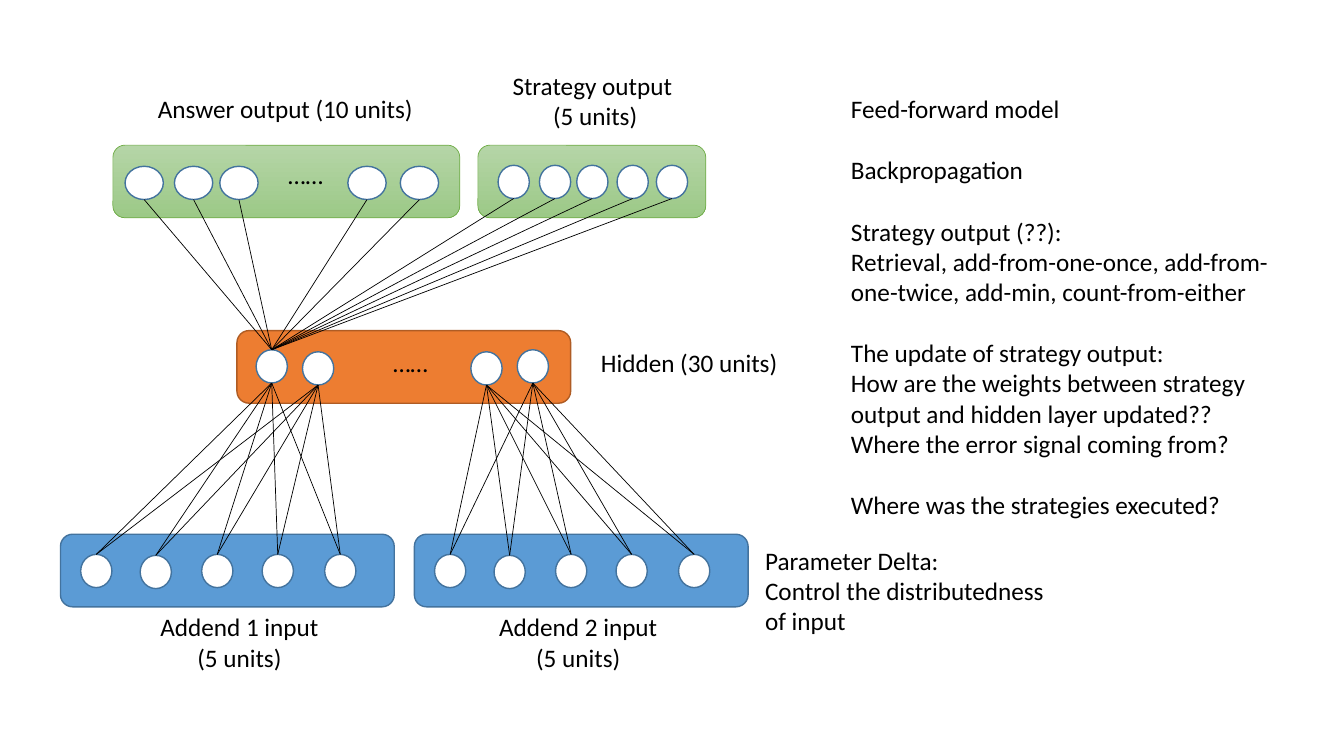
from dataclasses import dataclass
from itertools import product

from lxml import etree
from pptx import Presentation
from pptx.dml.color import RGBColor
from pptx.enum import shapes, text
from pptx.oxml.ns import qn
from pptx.util import Inches, Pt

BLACK = RGBColor(0x00, 0x00, 0x00)
WHITE = RGBColor(0xFF, 0xFF, 0xFF)
BLUE = RGBColor(0x5B, 0x9B, 0xD5)
DARK_BLUE = RGBColor(0x43, 0x73, 0x9E)
ORANGE = RGBColor(0xED, 0x7D, 0x31)
BROWN = RGBColor(0xAF, 0x5C, 0x24)
GREEN = RGBColor(0x70, 0xAD, 0x47)
LIGHT_GREEN = RGBColor(0xB5, 0xD5, 0xA7)
MID_GREEN = RGBColor(0x9C, 0xC9, 0x87)

FONT = "Calibri"
TEXT_SIZE = Pt(18)
BLANK_LINE = Pt(22)
PANEL_HEIGHT = 0.72
UNIT_HEIGHT = 0.33


@dataclass(frozen=True)
class Layer:
    left: float
    top: float
    width: float
    fills: tuple[RGBColor, ...]
    edge: RGBColor
    edge_width: float
    units: tuple[tuple[float, float], ...]
    unit_width: float = 0.31
    dots: tuple[float, float] | None = None

    def anchors(self, depth: float) -> list[tuple[float, float]]:
        return [(self.left + x + self.unit_width / 2, self.top + y + depth)
                for x, y in self.units]

    def unit_tops(self) -> list[tuple[float, float]]:
        return self.anchors(0)

    def unit_bottoms(self) -> list[tuple[float, float]]:
        return self.anchors(UNIT_HEIGHT)


@dataclass(frozen=True)
class Label:
    left: float
    top: float
    width: float
    height: float
    lines: tuple[str, ...]
    align: text.PP_ALIGN = text.PP_ALIGN.CENTER


ADDEND_UNITS = ((0.2, 0.2), (0.79, 0.21), (1.4, 0.2), (2.0, 0.2), (2.62, 0.2))

addend_1, addend_2 = (
    Layer(left, 5.3, 3.31, (BLUE,), DARK_BLUE, 1, ADDEND_UNITS)
    for left in (0.6, 4.11))
hidden = Layer(2.35, 3.28, 3.31, (ORANGE,), BROWN, 1,
               ((0.19, 0.19), (0.65, 0.21), (2.32, 0.21), (2.78, 0.19)),
               dots=(1.45, 0.12))
answer = Layer(1.12, 1.44, 3.44, (LIGHT_GREEN, MID_GREEN), GREEN, 0.5,
               tuple((x, 0.21) for x in (0.12, 0.61, 1.06, 2.33, 2.85)),
               unit_width=0.38, dots=(1.64, 0.09))
strategy = Layer(4.74, 1.44, 2.26, (LIGHT_GREEN, MID_GREEN), GREEN, 0.5,
                 tuple((x, 0.2) for x in (0.2, 0.61, 0.98, 1.38, 1.77)))

LABELS = (
    Label(1.38, 6.02, 1.99, 0.71, ("Addend 1 input", "(5 units)")),
    Label(4.74, 6.02, 1.99, 0.71, ("Addend 2 input", "(5 units)")),
    Label(5.84, 3.4, 1.99, 0.4, ("Hidden (30 units)",)),
    Label(1.24, 0.88, 3.18, 0.4, ("Answer output (10 units)",)),
    Label(4.83, 0.65, 2.09, 0.71, ("Strategy output", " (5 units)")),
    Label(7.49, 5.36, 3.17, 1.31,
          ("Parameter Delta:", "Control the distributedness of input"),
          text.PP_ALIGN.LEFT),
)

NOTES = (
    ("Feed-forward model",),
    ("Backpropagation",),
    ("Strategy output (??):",
     "Retrieval, add-from-one-once, add-from-one-twice, add-min, "
     "count-from-either"),
    ("The update of strategy output:",
     "How are the weights between strategy output and hidden layer updated??",
     "Where the error signal coming from?"),
    ("Where was the strategies executed?",),
)


def add_line_of_text(frame, index: int, wording: str, align):
    paragraph = frame.add_paragraph() if index else frame.paragraphs[0]
    paragraph.alignment = align
    run = paragraph.add_run()
    run.text = wording
    run.font.name = FONT
    run.font.size = TEXT_SIZE
    run.font.color.rgb = BLACK
    return paragraph


def draw_label(parent, label: Label) -> None:
    box = parent.add_textbox(Inches(label.left), Inches(label.top),
                             Inches(label.width), Inches(label.height))
    frame = box.text_frame
    frame.word_wrap = True
    frame.auto_size = text.MSO_AUTO_SIZE.SHAPE_TO_FIT_TEXT
    for index, wording in enumerate(label.lines):
        add_line_of_text(frame, index, wording, label.align)


def draw_shape(parent, kind, left: float, top: float, width: float,
               height: float, fills: tuple[RGBColor, ...], edge: RGBColor,
               edge_width: float) -> None:
    shape = parent.add_shape(kind, Inches(left), Inches(top),
                             Inches(width), Inches(height))
    shape.shadow.inherit = False
    if len(fills) == 1:
        shape.fill.solid()
        shape.fill.fore_color.rgb = fills[0]
    else:
        shape.fill.gradient()
        shape.fill.gradient_angle = 270
        for stop, color in zip(shape.fill.gradient_stops, fills):
            stop.color.rgb = color
    shape.line.color.rgb = edge
    shape.line.width = Pt(edge_width)


def draw_layer(slide, layer: Layer) -> None:
    group = slide.shapes.add_group_shape().shapes
    draw_shape(group, shapes.MSO_SHAPE.ROUNDED_RECTANGLE, layer.left,
               layer.top, layer.width, PANEL_HEIGHT, layer.fills,
               layer.edge, layer.edge_width)
    for x, y in layer.units:
        draw_shape(group, shapes.MSO_SHAPE.OVAL, layer.left + x,
                   layer.top + y, layer.unit_width, UNIT_HEIGHT,
                   (WHITE,), DARK_BLUE, 1)
    if layer.dots:
        x, y = layer.dots
        draw_label(group, Label(layer.left + x, layer.top + y, 0.62, 0.4,
                                ("……",), text.PP_ALIGN.LEFT))


def draw_link(slide, start: tuple[float, float],
              end: tuple[float, float]) -> None:
    link = slide.shapes.add_connector(
        shapes.MSO_CONNECTOR.STRAIGHT,
        *(Inches(length) for length in (*start, *end)))
    link.line.color.rgb = BLACK
    link.line.width = Pt(0.5)
    etree.SubElement(link._element.spPr, qn("a:effectLst"))


def write_notes(body) -> None:
    body.left, body.top = Inches(8.34), Inches(0.88)
    body.width, body.height = Inches(4.48), Inches(4.34)
    frame = body.text_frame
    frame.word_wrap = True
    frame.auto_size = text.MSO_AUTO_SIZE.NONE
    lines = [(wording, topic > 0 and position == 0)
             for topic, wordings in enumerate(NOTES)
             for position, wording in enumerate(wordings)]
    for index, (wording, opens_topic) in enumerate(lines):
        paragraph = add_line_of_text(frame, index, wording,
                                     text.PP_ALIGN.LEFT)
        paragraph.space_before = BLANK_LINE if opens_topic else Pt(0)
        properties = paragraph._p.get_or_add_pPr()
        properties.set("marL", "0")
        properties.set("indent", "0")
        etree.SubElement(properties, qn("a:buNone"))


deck = Presentation()
deck.slide_width, deck.slide_height = Inches(13.33), Inches(7.5)
network = deck.slides.add_slide(deck.slide_layouts[1])
heading = network.shapes.title._element
heading.getparent().remove(heading)
write_notes(network.placeholders[1])

for layer in (addend_1, addend_2, hidden, answer, strategy):
    draw_layer(network, layer)

hidden_bottoms = hidden.unit_bottoms()
links = [
    *product(addend_1.unit_tops(), hidden_bottoms[:2]),
    *product(addend_2.unit_tops(), hidden_bottoms[2:]),
    *product(hidden.unit_tops()[:1],
             answer.unit_bottoms() + strategy.unit_bottoms()),
]
for start, end in links:
    draw_link(network, start, end)

for label in LABELS:
    draw_label(network.shapes, label)

deck.save("out.pptx")
